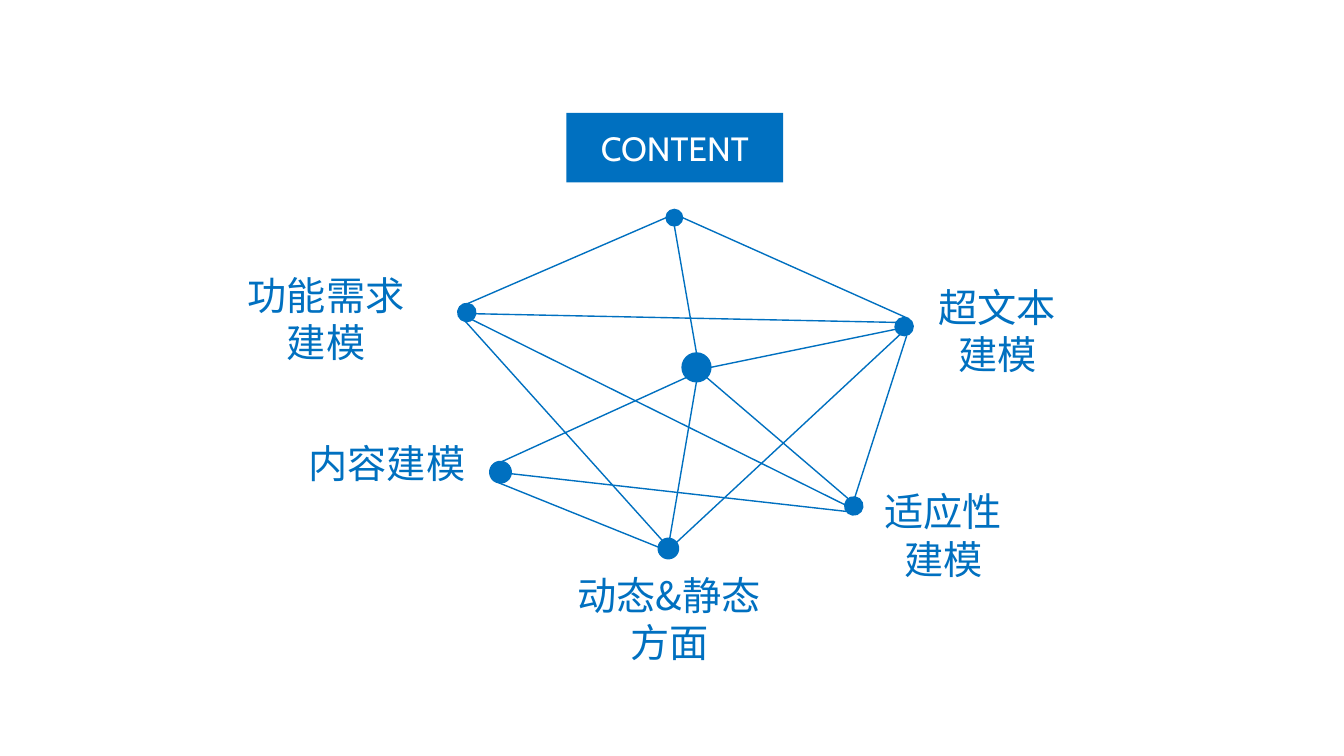
from math import cos, radians, sin

from lxml.etree import SubElement
from pptx import Presentation
from pptx.dml.color import RGBColor
from pptx.enum.shapes import MSO_CONNECTOR, MSO_SHAPE
from pptx.enum.text import MSO_ANCHOR, MSO_AUTO_SIZE, PP_ALIGN
from pptx.oxml.ns import qn
from pptx.util import Pt

BLUE = "0070C0"
WHITE = "FFFFFF"

# Dots: centre x, centre y, diameter, rotation
DOTS = {
    "top": (481.7, 155.5, 11.8, 0),
    "hub": (497.5, 262.4, 20.6, 0),
    "need": (333.4, 223.2, 13, 8.1),
    "hyper": (645.8, 233.3, 13, 27.4),
    "body": (357.5, 337.3, 15.4, 8.1),
    "aspect": (477.4, 391.8, 14.6, 8.1),
    "adapt": (609.8, 361.4, 13, 8.1),
}

# Links: dot and rim site at each end; sites run anticlockwise from 0 = top
LINKS = [
    ("top", 2, "need", 0),
    ("top", 6, "hyper", 0),
    ("top", 4, "hub", 0),
    ("need", 4, "aspect", 1),
    ("adapt", 2, "need", 5),
    ("hyper", 2, "need", 6),
    ("aspect", 7, "hyper", 4),
    ("hub", 4, "aspect", 0),
    ("hub", 5, "adapt", 1),
    ("hyper", 3, "hub", 6),
    ("hyper", 5, "adapt", 0),
    ("hub", 3, "body", 0),
    ("body", 4, "aspect", 2),
    ("adapt", 3, "body", 6),
]

# Labels: text, left, top, width, height
LABELS = [
    ("功能需求建模", 166.3, 190.1, 133.2, 75),
    ("内容建模", 192.2, 310.3, 168.5, 41),
    ("动态&静态方面", 393.8, 404.6, 168.5, 75),
    ("适应性建模", 613.4, 344.9, 121, 75),
    ("超文本建模", 654.5, 198.7, 116, 75),
]


def color(code):
    return RGBColor.from_string(code)


def rim(dot, site):
    x, y, size, turn = DOTS[dot]
    angle = radians(turn - 45 * site)
    return Pt(x + size / 2 * sin(angle)), Pt(y - size / 2 * cos(angle))


def add_dot(slide, x, y, size, turn):
    dot = slide.shapes.add_shape(
        MSO_SHAPE.OVAL, Pt(x - size / 2), Pt(y - size / 2), Pt(size), Pt(size))
    dot.rotation = turn
    dot.shadow.inherit = False
    dot.fill.solid()
    dot.fill.fore_color.rgb = color(BLUE)
    dot.line.color.rgb = color(BLUE)
    dot.line.width = Pt(1)


def add_link(slide, start, exit, end, entry):
    link = slide.shapes.add_connector(
        MSO_CONNECTOR.STRAIGHT, *rim(start, exit), *rim(end, entry))
    link.line.color.rgb = color(BLUE)
    link.line.width = Pt(1)
    SubElement(link.element.spPr, qn("a:effectLst"))


def add_text(frame, text, size, font, code):
    frame.word_wrap = True
    para = frame.paragraphs[0]
    para.alignment = PP_ALIGN.CENTER
    run = para.add_run()
    run.text = text
    run.font.size = Pt(size)
    run.font.name = font
    run.font.color.rgb = color(code)
    # East Asian glyphs take their own font entry
    SubElement(run.font.element if hasattr(run.font, "element")
               else run._r.get_or_add_rPr(), qn("a:ea"), typeface=font)


def add_title(slide):
    box = slide.shapes.add_shape(
        MSO_SHAPE.RECTANGLE, Pt(404.6), Pt(80.6), Pt(154.8), Pt(49.7))
    box.shadow.inherit = False
    box.fill.solid()
    box.fill.fore_color.rgb = color(BLUE)
    box.line.fill.background()
    box.text_frame.vertical_anchor = MSO_ANCHOR.MIDDLE
    add_text(box.text_frame, "CONTENT", 24, "Cabin", WHITE)


def add_label(slide, text, *place):
    box = slide.shapes.add_textbox(*map(Pt, place))
    box.text_frame.auto_size = MSO_AUTO_SIZE.SHAPE_TO_FIT_TEXT
    add_text(box.text_frame, text, 28, "Noto Sans CJK SC", BLUE)


def main():
    deck = Presentation()
    deck.slide_width, deck.slide_height = Pt(960), Pt(540)
    slide = deck.slides.add_slide(deck.slide_layouts[6])

    # Network
    for link in LINKS:
        add_link(slide, *link)
    for dot in DOTS.values():
        add_dot(slide, *dot)

    # Title and labels
    add_title(slide)
    for label in LABELS:
        add_label(slide, *label)

    deck.save("out.pptx")


if __name__ == "__main__":
    main()
